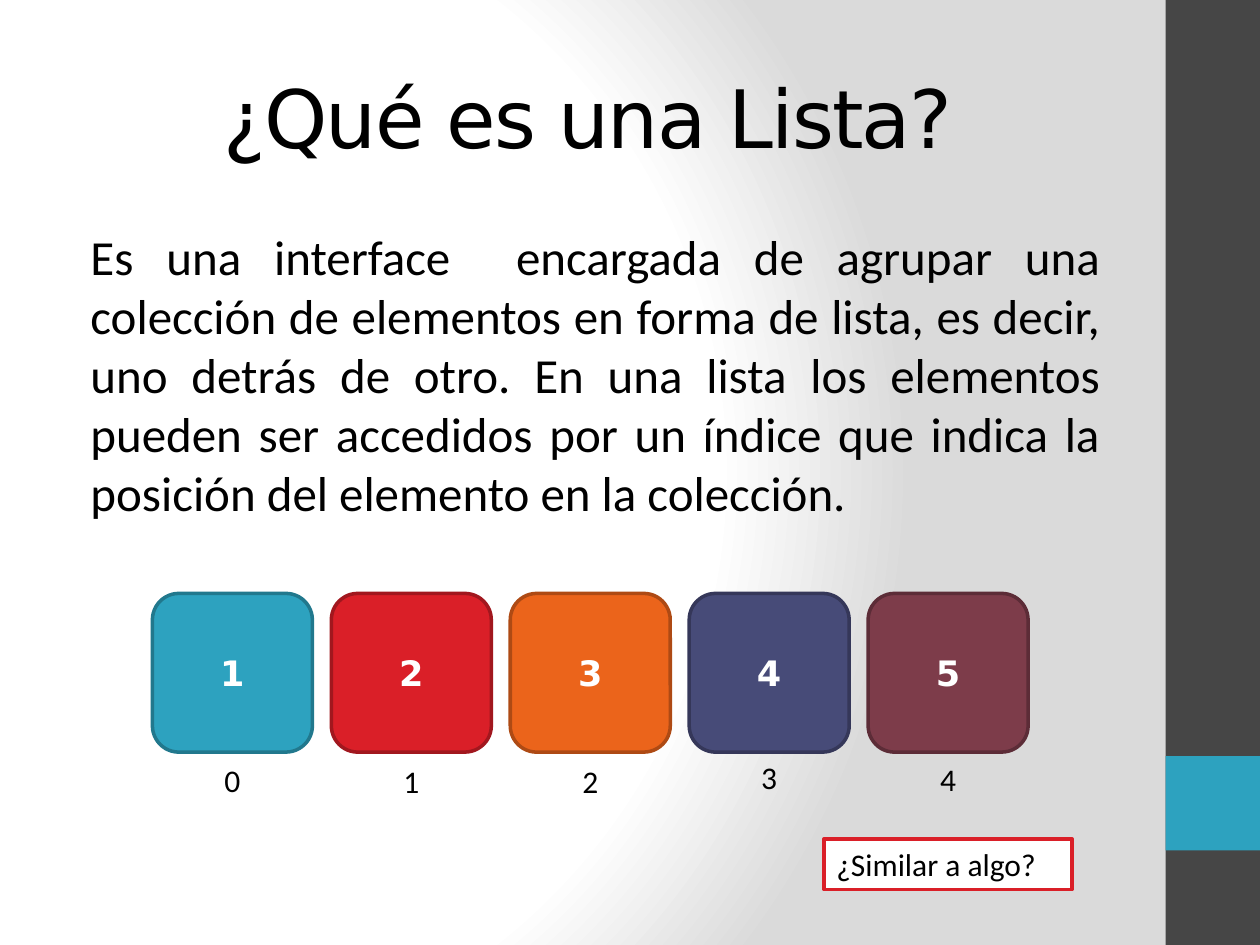
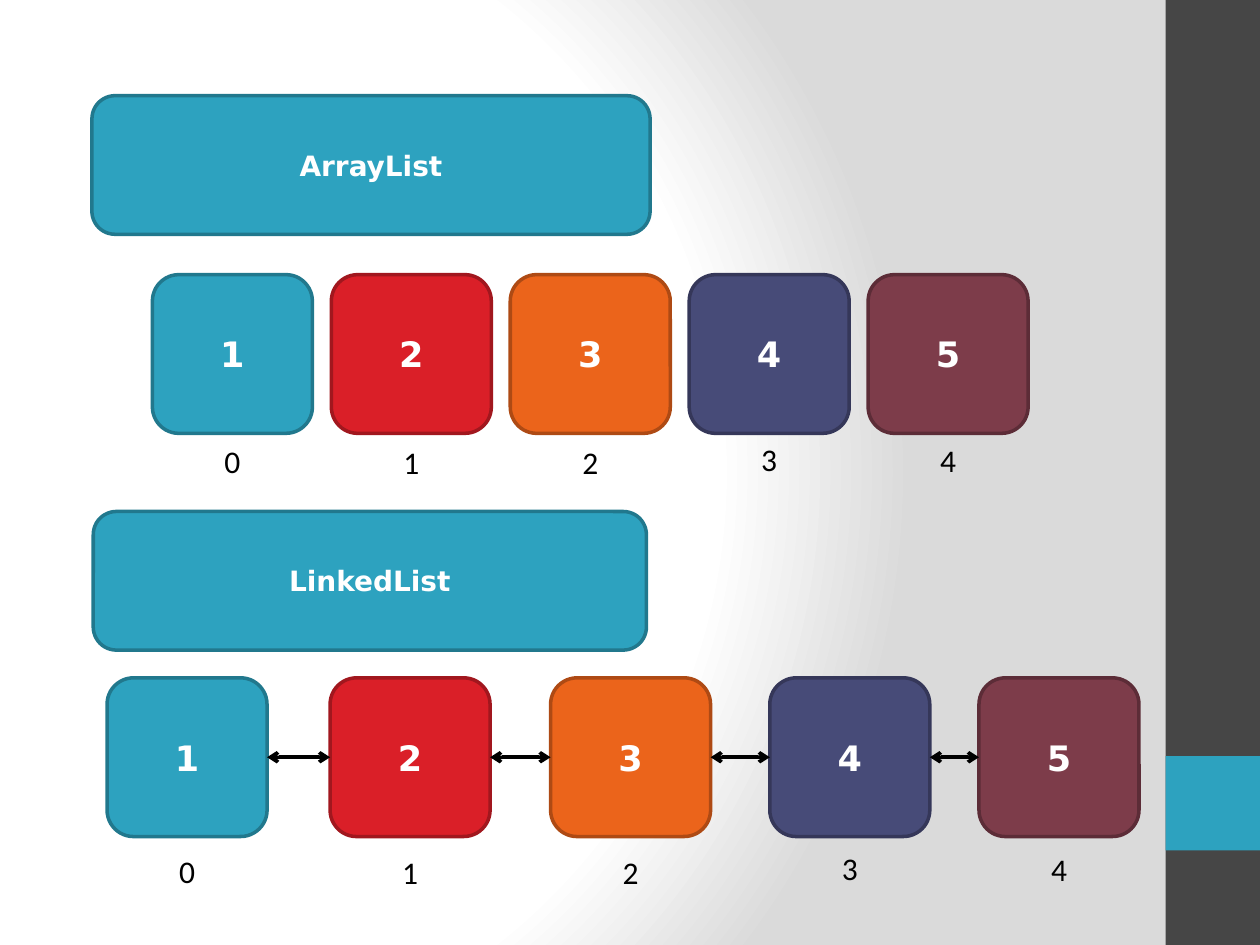
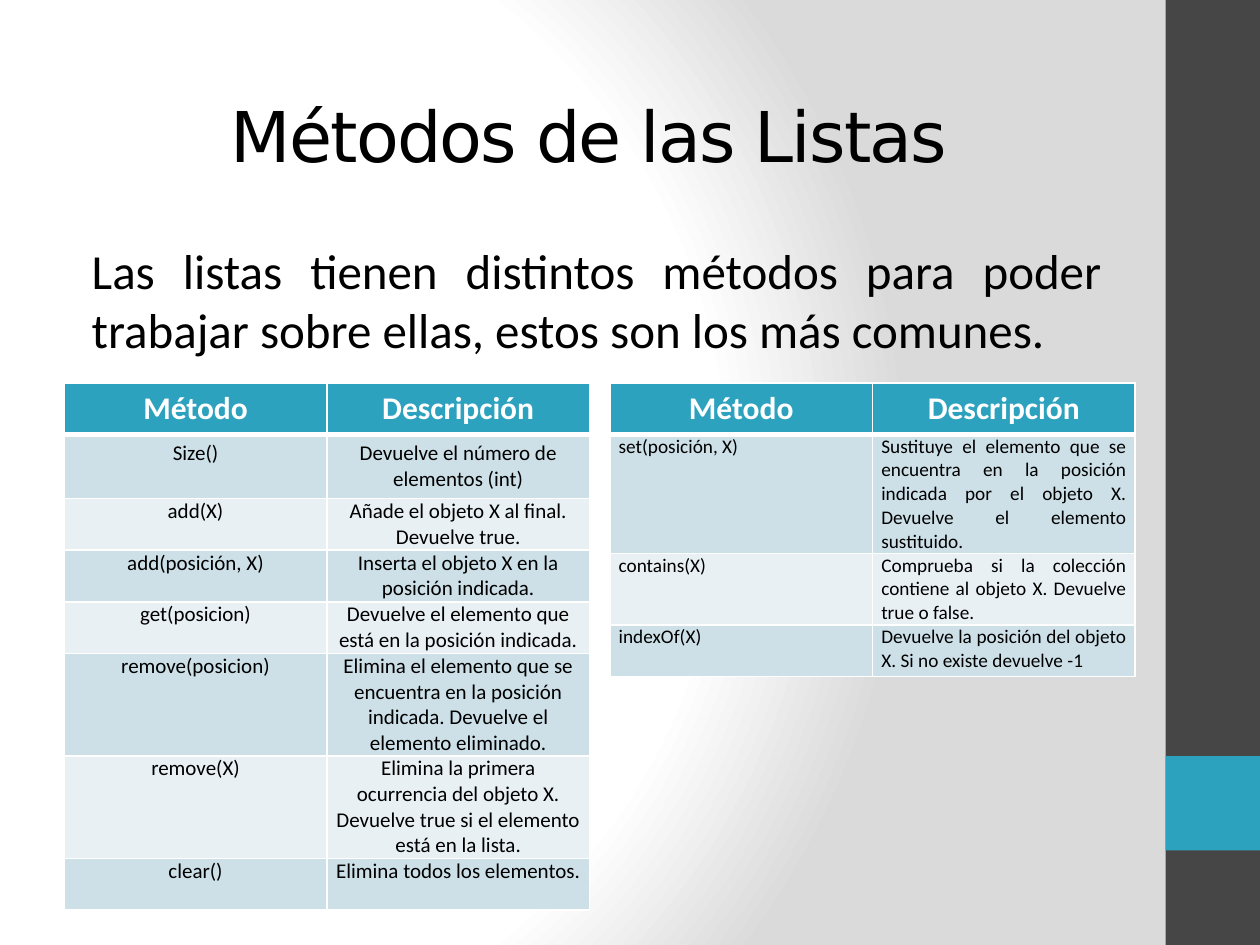
from pptx import Presentation
from pptx.dml.color import RGBColor
from pptx.enum.shapes import MSO_CONNECTOR, MSO_SHAPE
from pptx.enum.text import MSO_ANCHOR, MSO_AUTO_SIZE, PP_ALIGN
from pptx.oxml import parse_xml
from pptx.oxml.ns import nsdecls, qn
from pptx.util import Inches, Pt

LEFT, CENTER, JUSTIFY = PP_ALIGN.LEFT, PP_ALIGN.CENTER, PP_ALIGN.JUSTIFY
TOP, MIDDLE = MSO_ANCHOR.TOP, MSO_ANCHOR.MIDDLE
NO_FIT, GROW = MSO_AUTO_SIZE.NONE, MSO_AUTO_SIZE.SHAPE_TO_FIT_TEXT
RECT, ROUNDED = MSO_SHAPE.RECTANGLE, MSO_SHAPE.ROUNDED_RECTANGLE
STRAIGHT = MSO_CONNECTOR.STRAIGHT

COLORS = {
    "black": "000000", "white": "FFFFFF", "shade": "DADADA", "band": "464646",
    "teal": "2DA2BF", "teal_edge": "21788D",
    "red": "DA1F28", "red_edge": "A1171E",
    "orange": "EB641B", "orange_edge": "AE4A14",
    "indigo": "474B78", "indigo_edge": "353759",
    "wine": "7D3C4A", "wine_edge": "5C2C37",
    "row_dark": "CDE0E8", "row_light": "E8F0F4",
}
BODY_FONT, HEAD_FONT = "Calibri", "DejaVu Sans"


def write(frame, text, size=18, font=BODY_FONT, color="black", bold=False, align=LEFT,
          anchor=TOP, fit=None, before=None, after=None, indent=None, tracking=None):
    """Put one formatted paragraph into a text frame."""
    frame.word_wrap = True
    frame.vertical_anchor = anchor
    if fit is not None:
        frame.auto_size = fit
    para = frame.paragraphs[0]
    para.alignment = align
    para.space_before, para.space_after = before, after
    if indent is not None:
        properties = para._p.get_or_add_pPr()
        properties.set("marL", str(indent))
        properties.set("indent", "0")
    span = para.add_run()
    span.text = text
    span.font.size, span.font.name, span.font.bold = Pt(size), font, bold
    span.font.color.rgb = RGBColor.from_string(COLORS[color])
    if tracking is not None:
        span._r.get_or_add_rPr().set("spc", str(tracking))


def add_box(page, kind, place, fill, edge=None):
    """Add a flat filled shape, outlined when an edge colour is given."""
    box = page.shapes.add_shape(kind, *[Inches(length) for length in place])
    box.shadow.inherit = False
    box.fill.solid()
    box.fill.fore_color.rgb = RGBColor.from_string(COLORS[fill])
    if edge:
        box.line.color.rgb = RGBColor.from_string(COLORS[edge])
        box.line.width = Pt(2)
    else:
        box.line.fill.background()
    return box


deck = Presentation()
deck.slide_width, deck.slide_height = Inches(10), Inches(7.5)
master = deck.slide_master
title_only, blank = deck.slide_layouts[5], deck.slide_layouts[6]
definition = deck.slides.add_slide(title_only)
kinds = deck.slides.add_slide(blank)
methods = deck.slides.add_slide(title_only)

# Shared background and side bands live on the master
master.background.fill.solid()
background = master.element.find(".//" + qn("p:bgPr"))
stops = "".join(
    f'<a:gs pos="{position}"><a:srgbClr val="{COLORS[name]}"/></a:gs>'
    for position, name in ((0, "white"), (75000, "white"), (100000, "shade")))
background.replace(background[0], parse_xml(
    f'<a:gradFill {nsdecls("a")} rotWithShape="1"><a:gsLst>{stops}</a:gsLst>'
    '<a:path path="circle"><a:fillToRect l="20000" t="50000" r="100000" b="50000"/>'
    '</a:path></a:gradFill>'))

for number, (top, height, fill) in enumerate(((0, 7.5, "band"), (6, 0.75, "teal"))):
    band = add_box(definition, RECT, (9.25, top, 0.75, height), fill)
    band.element.nvSpPr.cNvPr.set("id", str(20 + number))
    master.shapes.element.insert(2 + number, band.element)

# Titles and introductions
INTRODUCTIONS = (
    (definition, 0.5, 0.3, 1.75, 46, "¿Qué es una Lista?",
     "Es una interface  encargada de agrupar una colección de elementos en forma de "
     "lista, es decir, uno detrás de otro. En una lista los elementos pueden ser "
     "accedidos por un índice que indica la posición del elemento en la colección."),
    (methods, 0.51, 0.44, 1.86, 40, "Métodos de las Listas",
     "Las listas tienen distintos métodos para poder trabajar sobre ellas, estos son "
     "los más comunes."),
)
for page, left, title_top, body_top, size, heading, body in INTRODUCTIONS:
    title = page.shapes.title
    title.left, title.top = Inches(left), Inches(title_top)
    title.width, title.height = Inches(8.33), Inches(1.25)
    write(title.text_frame, heading, size=size, font=HEAD_FONT, align=CENTER,
          anchor=MIDDLE, fit=NO_FIT, tracking=-100)
    box = page.shapes.add_textbox(Inches(left), Inches(body_top), Inches(8.33), Inches(0.98))
    write(box.text_frame, body, size=28, align=JUSTIFY, fit=NO_FIT,
          before=Pt(5.6), indent=Inches(0.12))

# Names of the two kinds of list
for left, top, width, name in ((0.73, 0.76, 4.43, "ArrayList"), (0.74, 4.06, 4.39, "LinkedList")):
    box = add_box(kinds, ROUNDED, (left, top, width, 1.1), "teal", "teal_edge")
    write(box.text_frame, name, size=16, font=HEAD_FONT, color="white", bold=True,
          align=CENTER, anchor=MIDDLE)

# Rows of numbered elements with their indexes below
ELEMENT_COLORS = ("teal", "red", "orange", "indigo", "wine")
ELEMENT_WIDTH, ELEMENT_HEIGHT = 1.27, 1.26
INDEX_DROPS = (1.28, 1.29, 1.29, 1.26, 1.27)
ARRAY_LEFTS = [1.21 + 1.42 * number for number in range(5)]
LINKED_LEFTS = [0.85, 2.62, 4.37, 6.11, 7.77]
LINKED_TOP = 5.38
ROWS = (
    (definition, ARRAY_LEFTS, 4.71, 0),
    (kinds, ARRAY_LEFTS, 2.18, 0),
    (kinds, LINKED_LEFTS, LINKED_TOP, 0.05),
)
for page, lefts, top, extra_drop in ROWS:
    for index, (left, color, drop) in enumerate(zip(lefts, ELEMENT_COLORS, INDEX_DROPS)):
        element = add_box(page, ROUNDED, (left, top, ELEMENT_WIDTH, ELEMENT_HEIGHT),
                          color, color + "_edge")
        write(element.text_frame, str(index + 1), size=20, font=HEAD_FONT, color="white",
              bold=True, align=CENTER, anchor=MIDDLE)
        label = page.shapes.add_textbox(Inches(left + 0.2), Inches(top + drop + extra_drop),
                                        Inches(0.87), Inches(0.4))
        write(label.text_frame, str(index), align=CENTER, fit=GROW)

# Two-way links between neighbours
link_y = Inches(LINKED_TOP + ELEMENT_HEIGHT / 2)
for left, next_left in zip(LINKED_LEFTS, LINKED_LEFTS[1:]):
    link = kinds.shapes.add_connector(STRAIGHT, Inches(left + ELEMENT_WIDTH), link_y,
                                      Inches(next_left), link_y)
    link.line.color.rgb = RGBColor.from_string(COLORS["black"])
    link.line.width = Pt(2)
    outline = link.line._get_or_add_ln()
    for end in ("headEnd", "tailEnd"):
        outline.append(parse_xml(f'<a:{end} {nsdecls("a")} type="arrow"/>'))
    link.element.spPr.append(parse_xml(f'<a:effectLst {nsdecls("a")}/>'))

question = add_box(definition, RECT, (6.54, 6.66, 1.97, 0.4), "white", "red")
write(question.text_frame, "¿Similar a algo?", fit=GROW)

# Method tables
HEADER = ("Método", "Descripción")
TABLES = (
    (0.51, 12, (CENTER, CENTER), (
        ("Size()", "Devuelve el número de elementos (int)"),
        ("add(X)", "Añade el objeto X al final. Devuelve true."),
        ("add(posición, X)", "Inserta el objeto X en la posición indicada."),
        ("get(posicion)", "Devuelve el elemento que está en la posición indicada."),
        ("remove(posicion)", "Elimina el elemento que se encuentra en la posición "
                             "indicada. Devuelve el elemento eliminado."),
        ("remove(X)", "Elimina la primera ocurrencia del objeto X. Devuelve true si el "
                      "elemento está en la lista."),
        ("clear()", "Elimina todos los elementos."),
    )),
    (4.84, 11, (LEFT, JUSTIFY), (
        ("set(posición, X)", "Sustituye el elemento que se encuentra en la posición "
                             "indicada por el objeto X. Devuelve el elemento sustituido."),
        ("contains(X)", "Comprueba si la colección contiene al objeto X. Devuelve true "
                        "o false."),
        ("indexOf(X)", "Devuelve la posición del objeto X. Si no existe devuelve -1"),
    )),
)
for left, size, aligns, entries in TABLES:
    lines = (HEADER,) + entries
    table = methods.shapes.add_table(len(lines), 2, Inches(left), Inches(3.04),
                                     Inches(4.17), Inches(0.41 * len(lines))).table
    for row_number, line in enumerate(lines):
        table.rows[row_number].height = Inches(0.41)
        for column, text in enumerate(line):
            cell = table.cell(row_number, column)
            is_header = row_number == 0
            fill = "teal" if is_header else ("row_light", "row_dark")[row_number % 2]
            cell.fill.solid()
            cell.fill.fore_color.rgb = RGBColor.from_string(COLORS[fill])
            if is_header:
                write(cell.text_frame, text, color="white", bold=True, align=CENTER)
            elif text in ("Size()", entries[0][1]) and size == 12:
                write(cell.text_frame, text, size=size, align=CENTER)
            else:
                cell.margin_left = cell.margin_right = Inches(0.07)
                cell.margin_top = cell.margin_bottom = 0
                write(cell.text_frame, text, size=size, align=aligns[column],
                      before=Pt(6), after=Pt(6))
            for position, side in enumerate("LRTB"):
                thick = (is_header and side == "B") or (row_number == 1 and side == "T")
                cell._tc.get_or_add_tcPr().insert(position, parse_xml(
                    f'<a:ln{side} {nsdecls("a")} w="{Pt(3 if thick else 1)}"><a:solidFill>'
                    f'<a:srgbClr val="{COLORS["white"]}"/></a:solidFill></a:ln{side}>'))

deck.save("out.pptx")
